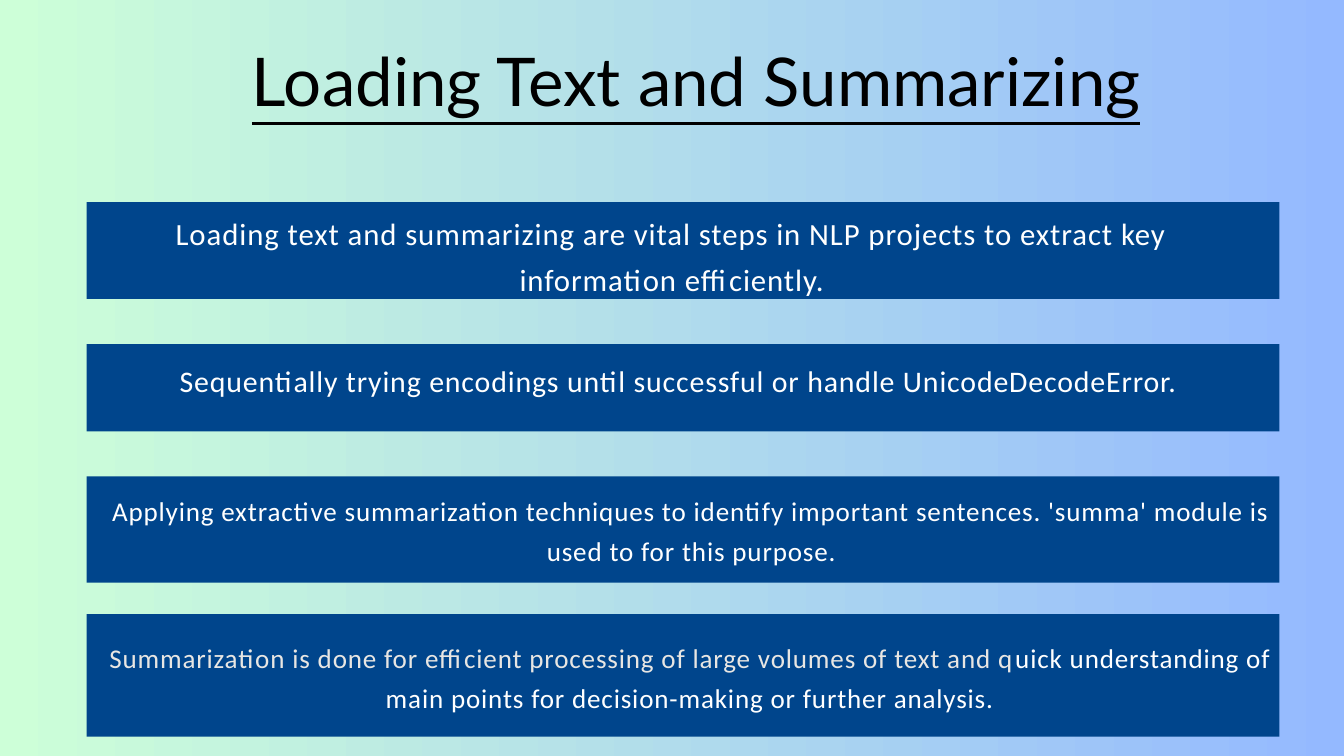
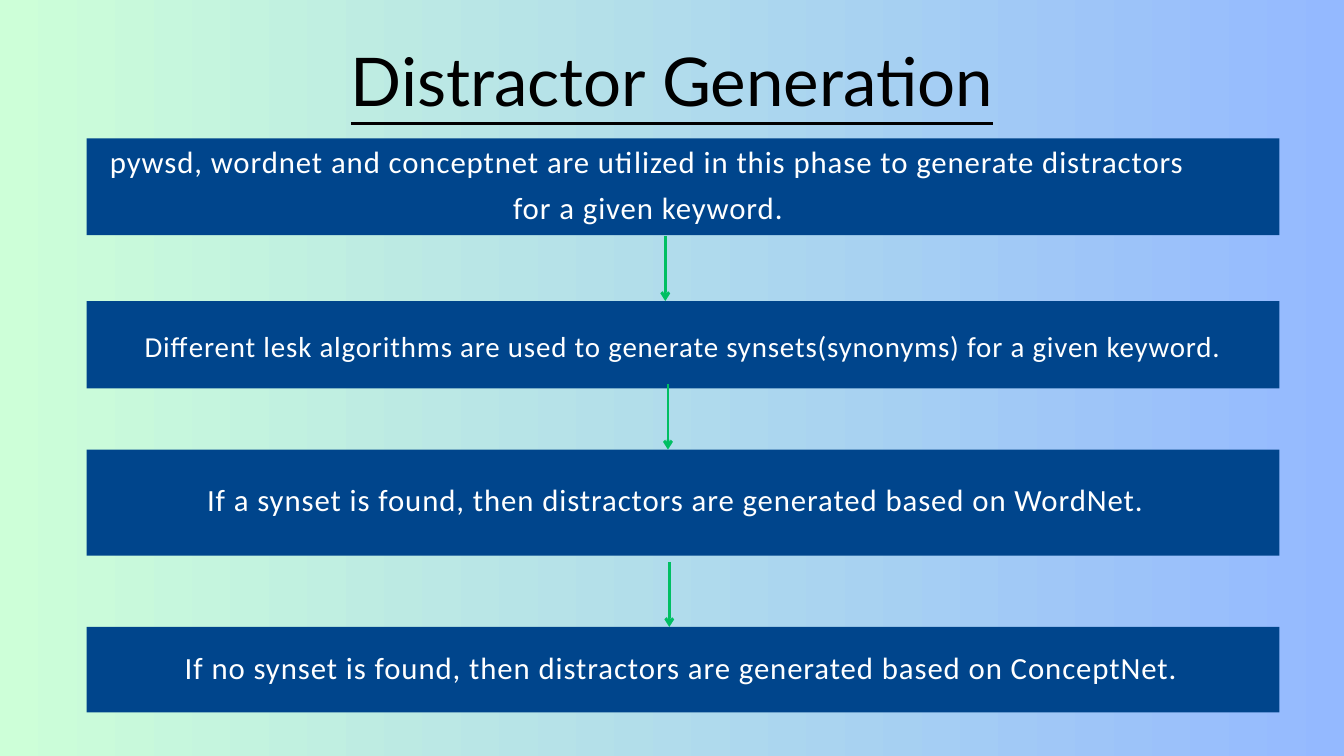
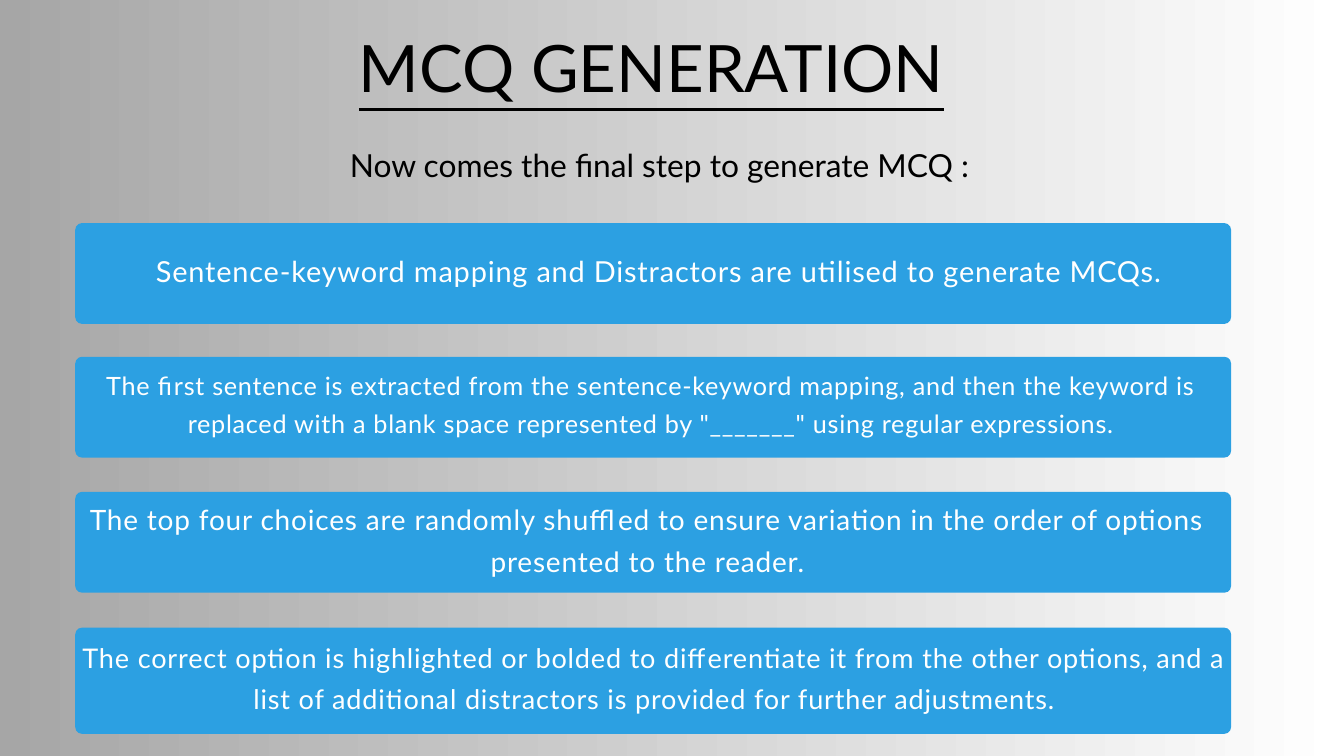
from lxml.etree import SubElement
from pptx import Presentation
from pptx.dml.color import RGBColor
from pptx.enum.shapes import MSO_CONNECTOR as Connector, MSO_SHAPE as Shape
from pptx.enum.text import MSO_ANCHOR as Anchor, PP_ALIGN as Align
from pptx.oxml.ns import qn
from pptx.util import Emu, Pt

PX = 9144  # 100 px to the inch
SLIDE_SIZE = (2000, 1125)
COLORS = {
    "mint": "CDFFD8", "periwinkle": "94B9FF", "gray": "A6A6A6", "white": "FFFFFF",
    "navy": "00458C", "sky": "2CA0E2", "green": "00BF63", "black": "000000",
    "off_white": "E8E6E3",
}
LETTER_SPACING = {27: 80, 33: 100}  # hundredths of a point, by text size
USUAL_LETTER_SPACING = 90
TEXT_INSET = 6
CORNER_RADIUS = 10
ARROW_LENGTH = 97

NAVY_STYLE = {"gradient": ("mint", "periwinkle"), "fill": "navy", "font": "Calibri",
              "left": 129, "width": 1775, "rounded": False}
SKY_STYLE = {"gradient": ("gray", "white"), "fill": "sky", "font": "Lato",
             "left": 112, "width": 1720, "rounded": True}

# headings: text, box, size
# bands: top, height, text box, size, text or list of (text, color)
SLIDES = [
    {
        "style": NAVY_STYLE,
        "title": ("Loading Text and Summarizing", (255, 38, 1562, 134), 72),
        "bands": [
            (301, 144, (140, 265, 1720, 218), 33,
             "Loading text and summarizing are vital steps in NLP projects to extract key "
             "information efficiently."),
            (512, 130, (129, 477, 1762, 165), 32,
             "Sequentially trying encodings until successful or handle UnicodeDecodeError."),
            (709, 158, (133, 671, 1792, 225), 29,
             "Applying extractive summarization techniques to identify important sentences. "
             "'summa' module is used to for this purpose."),
            (914, 182, (129, 914, 1796, 177), 29, [
                ("Summarization is done for efficient processing of large volumes of text "
                 "and q", "off_white"),
                ("uick understanding of main points for decision-making or further analysis.",
                 "white")]),
        ],
    },
    {
        "style": NAVY_STYLE,
        "title": ("Distractor Generation", (464, 38, 1072, 134), 72),
        "bands": [
            (206, 144, (129, 163, 1671, 208), 33,
             "pywsd, wordnet and conceptnet are utilized in this phase to generate "
             "distractors for a given keyword."),
            (448, 130, (129, 412, 1775, 194), 31,
             "Different lesk algorithms are used to generate synsets(synonyms) for a given "
             "keyword."),
            (669, 158, (129, 625, 1754, 221), 33,
             "If a synset is found, then distractors are generated based on WordNet."),
            (933, 127, (179, 921, 1671, 130), 33,
             "If no synset is found, then distractors are generated based on ConceptNet."),
        ],
        "arrows": [(990, 351), (994, 572), (996, 836)],
    },
    {
        "style": SKY_STYLE,
        "title": ("MCQ GENERATION", (455, 21, 1028, 132), 70),
        "subtitle": ("Now comes the final step to generate MCQ :", (480, 207, 1003, 63), 34),
        "bands": [
            (332, 150, (112, 296, 1738, 203), 31,
             "Sentence-keyword mapping and Distractors are utilised to generate MCQs."),
            (531, 150, (100, 506, 1738, 181), 27,
             "The first sentence is extracted from the sentence-keyword mapping, and then the "
             "keyword is replaced with a blank space represented by \"_______\" using regular "
             "expressions."),
            (732, 150, (112, 697, 1704, 201), 30,
             "The top four choices are randomly shuffled to ensure variation in the order of "
             "options presented to the reader."),
            (934, 158, (112, 913, 1725, 181), 29,
             "The correct option is highlighted or bolded to differentiate it from the other "
             "options, and a list of additional distractors is provided for further "
             "adjustments."),
        ],
    },
]


def emu(*lengths):
    return [Emu(length * PX) for length in lengths]


def rgb(name):
    return RGBColor.from_string(COLORS[name])


def add_text(slide, text, box, size, font="Lato", color="black", leading=1.4,
             underline=None, spacing=None, inset=0, anchor=Anchor.TOP):
    frame = slide.shapes.add_textbox(*emu(*box)).text_frame
    frame.word_wrap = True
    frame.vertical_anchor = anchor
    frame.margin_left, frame.margin_top, frame.margin_right, frame.margin_bottom = emu(*[inset] * 4)
    paragraph = frame.paragraphs[0]
    paragraph.alignment = Align.CENTER
    paragraph.line_spacing = Pt(size * leading)
    for words, run_color in [(text, color)] if isinstance(text, str) else text:
        run = paragraph.add_run()
        run.text = words
        run.font.name, run.font.size, run.font.underline = font, Pt(size), underline
        run.font.color.rgb = rgb(run_color)
        if spacing:
            run.font._element.set("spc", str(spacing))


def add_background(slide, gradient):
    fill = slide.background.fill
    fill.gradient()
    fill.gradient_angle = 0
    for stop, name in zip(fill.gradient_stops, gradient):
        stop.color.rgb = rgb(name)


def add_band(slide, style, top, height, text_box, size, text):
    kind = Shape.ROUNDED_RECTANGLE if style["rounded"] else Shape.RECTANGLE
    band = slide.shapes.add_shape(kind, *emu(style["left"], top, style["width"], height))
    band.shadow.inherit = False
    band.fill.solid()
    band.fill.fore_color.rgb = rgb(style["fill"])
    band.line.fill.background()
    if style["rounded"]:
        band.adjustments[0] = CORNER_RADIUS / height
    add_text(slide, text, text_box, size, font=style["font"], color="white", leading=1.5,
             spacing=LETTER_SPACING.get(size, USUAL_LETTER_SPACING), inset=TEXT_INSET,
             anchor=Anchor.MIDDLE)


def add_arrow(slide, x, top):
    arrow = slide.shapes.add_connector(Connector.STRAIGHT, *emu(x, top, x, top + ARROW_LENGTH))
    arrow.line.color.rgb = rgb("green")
    arrow.line.width = Pt(3)
    SubElement(arrow.line._get_or_add_ln(), qn("a:tailEnd"), type="arrow")
    SubElement(arrow._element.spPr, qn("a:effectLst"))


def main():
    presentation = Presentation()
    presentation.slide_width, presentation.slide_height = emu(*SLIDE_SIZE)
    for content in SLIDES:
        slide = presentation.slides.add_slide(presentation.slide_layouts[6])
        add_background(slide, content["style"]["gradient"])
        add_text(slide, *content["title"], underline=True)
        if "subtitle" in content:
            add_text(slide, *content["subtitle"])
        for band in content["bands"]:
            add_band(slide, content["style"], *band)
        for start in content.get("arrows", []):
            add_arrow(slide, *start)
    presentation.save("out.pptx")


if __name__ == "__main__":
    main()
